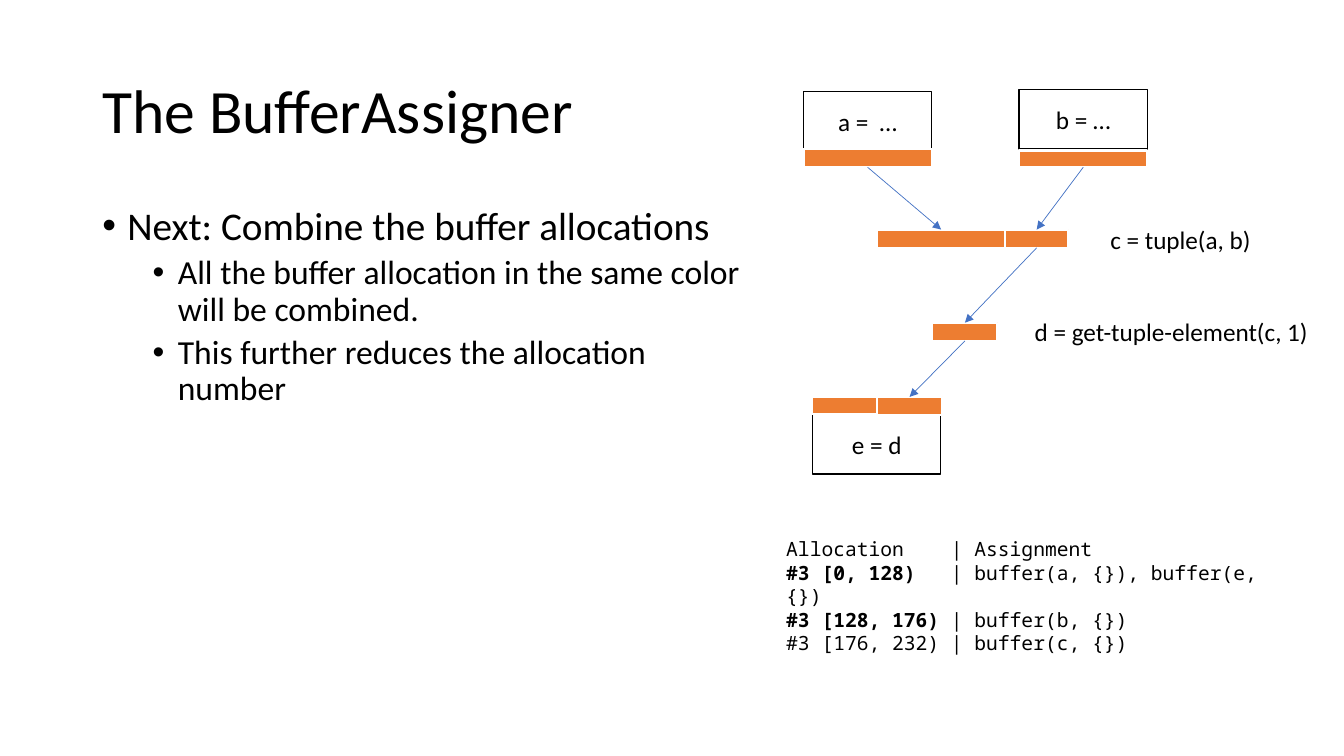
from dataclasses import dataclass

from lxml.etree import SubElement
from pptx import Presentation
from pptx.dml.color import RGBColor
from pptx.enum.shapes import MSO_CONNECTOR as Connector, MSO_SHAPE as Preset
from pptx.enum.text import MSO_ANCHOR as Anchor, PP_ALIGN as Align
from pptx.oxml.ns import qn
from pptx.util import Pt


@dataclass(frozen=True)
class Theme:
    ink: RGBColor = RGBColor(0x00, 0x00, 0x00)
    paper: RGBColor = RGBColor(0xFF, 0xFF, 0xFF)
    buffer: RGBColor = RGBColor(0xED, 0x7D, 0x31)
    arrow: RGBColor = RGBColor(0x44, 0x72, 0xC4)
    sans: str = "Calibri"
    mono: str = "Noto Sans Mono"
    title: int = 44
    point: int = 28
    subpoint: int = 24
    label: int = 18
    listing: int = 14


THEME = Theme()
NODE_WIDTH, NODE_HEIGHT = 91.5, 42.5
BAR_HEIGHT = 13
HALF_BAR = 46.5
COLUMN_TAB = 117.6


def add_run(paragraph, wording, size, font=THEME.sans, bold=False):
    run = paragraph.add_run()
    run.text = wording
    run.font.name = font
    run.font.size = Pt(size)
    run.font.bold = bold
    run.font.color.rgb = THEME.ink


def text_frame(slide, left, top, width, height):
    frame = slide.shapes.add_textbox(Pt(left), Pt(top), Pt(width), Pt(height)).text_frame
    frame.word_wrap = True
    return frame


def paragraphs(frame, items):
    for index, item in enumerate(items):
        yield (frame.add_paragraph() if index else frame.paragraphs[0]), item


def add_title(slide, wording):
    frame = text_frame(slide, 66, 29, 828, 104)
    frame.vertical_anchor = Anchor.MIDDLE
    heading = frame.paragraphs[0]
    heading.line_spacing = 0.9
    add_run(heading, wording, THEME.title)


def add_bullets(slide, points):
    frame = text_frame(slide, 66, 144, 473, 343)
    for paragraph, (level, wording) in paragraphs(frame, points):
        properties = paragraph._p.get_or_add_pPr()
        properties.set("marL", str(Pt(54 if level else 18)))
        properties.set("indent", str(-Pt(18)))
        SubElement(properties, qn("a:buFont"), typeface="Arial")
        SubElement(properties, qn("a:buChar"), char="•")
        paragraph.level = level
        paragraph.line_spacing = 0.9
        paragraph.space_before = Pt(5 if level else 0)
        add_run(paragraph, wording, THEME.subpoint if level else THEME.point)


def add_rectangle(slide, left, top, width, height, fill, line, weight):
    rectangle = slide.shapes.add_shape(
        Preset.RECTANGLE, Pt(left), Pt(top), Pt(width), Pt(height))
    rectangle.shadow.inherit = False
    rectangle.fill.solid()
    rectangle.fill.fore_color.rgb = fill
    rectangle.line.color.rgb = line
    rectangle.line.width = Pt(weight)
    return rectangle


def add_node(slide, wording, left, top):
    node = add_rectangle(
        slide, left, top, NODE_WIDTH, NODE_HEIGHT, THEME.paper, THEME.ink, 1)
    node.text_frame.vertical_anchor = Anchor.MIDDLE
    paragraph = node.text_frame.paragraphs[0]
    paragraph.alignment = Align.CENTER
    add_run(paragraph, wording, THEME.label)


def add_bar(slide, left, top, width, height=BAR_HEIGHT):
    return add_rectangle(
        slide, left, top, width, height, THEME.buffer, THEME.paper, 1.5)


def add_arrow(slide, source, target):
    arrow = slide.shapes.add_connector(Connector.STRAIGHT, 0, 0, 0, 0)
    arrow.begin_connect(source, 2)
    arrow.end_connect(target, 0)
    arrow.line.color.rgb = THEME.arrow
    arrow.line.width = Pt(0.5)
    SubElement(arrow.line._get_or_add_ln(), qn("a:tailEnd"), type="triangle")
    SubElement(arrow._element.spPr, qn("a:effectLst"))


def add_label(slide, wording, left, top, width):
    frame = text_frame(slide, left, top, width, 29)
    add_run(frame.paragraphs[0], wording, THEME.label)


def add_listing(slide, rows):
    frame = text_frame(slide, 554.5, 380, 366.5, 75)
    for paragraph, (allocation, assignment, bold) in paragraphs(frame, rows):
        tabs = SubElement(paragraph._p.get_or_add_pPr(), qn("a:tabLst"))
        SubElement(tabs, qn("a:tab"), pos=str(Pt(COLUMN_TAB)), algn="l")
        add_run(paragraph, allocation, THEME.listing, THEME.mono, bold)
        add_run(paragraph, f"\t| {assignment}", THEME.listing, THEME.mono)


def add_buffer_graph(slide):
    add_node(slide, "a =  …", 574, 65.5)
    add_node(slide, "b = …", 728, 64)
    add_node(slide, "e = d", 580.5, 296)

    a_bar = add_bar(slide, 574, 106.5, NODE_WIDTH)
    b_bar = add_bar(slide, 728, 107.5, NODE_WIDTH, 12)
    tuple_first = add_bar(slide, 626.5, 164, NODE_WIDTH)
    tuple_second = add_bar(slide, 718, 164, 45)
    d_bar = add_bar(slide, 666, 230.5, HALF_BAR)
    add_bar(slide, 580, 283.5, HALF_BAR, 12)
    e_bar = add_bar(slide, 626.5, 283.5, HALF_BAR)

    for source, target in (
        (a_bar, tuple_first),
        (b_bar, tuple_second),
        (tuple_second, d_bar),
        (d_bar, e_bar),
    ):
        add_arrow(slide, source, target)

    add_label(slide, "c = tuple(a, b)", 786, 156.5, 151)
    add_label(slide, "d = get-tuple-element(c, 1)", 732, 222.5, 216)


def main():
    deck = Presentation()
    deck.slide_width, deck.slide_height = Pt(960), Pt(540)
    slide = deck.slides.add_slide(deck.slide_layouts[6])
    add_title(slide, "The BufferAssigner")
    add_bullets(slide, (
        (0, "Next: Combine the buffer allocations"),
        (1, "All the buffer allocation in the same color will be combined."),
        (1, "This further reduces the allocation number"),
    ))
    add_buffer_graph(slide)
    add_listing(slide, (
        ("Allocation", "Assignment", False),
        ("#3 [0, 128)", "buffer(a, {}), buffer(e, {})", True),
        ("#3 [128, 176)", "buffer(b, {})", True),
        ("#3 [176, 232)", "buffer(c, {})", False),
    ))
    deck.save("out.pptx")


if __name__ == "__main__":
    main()
